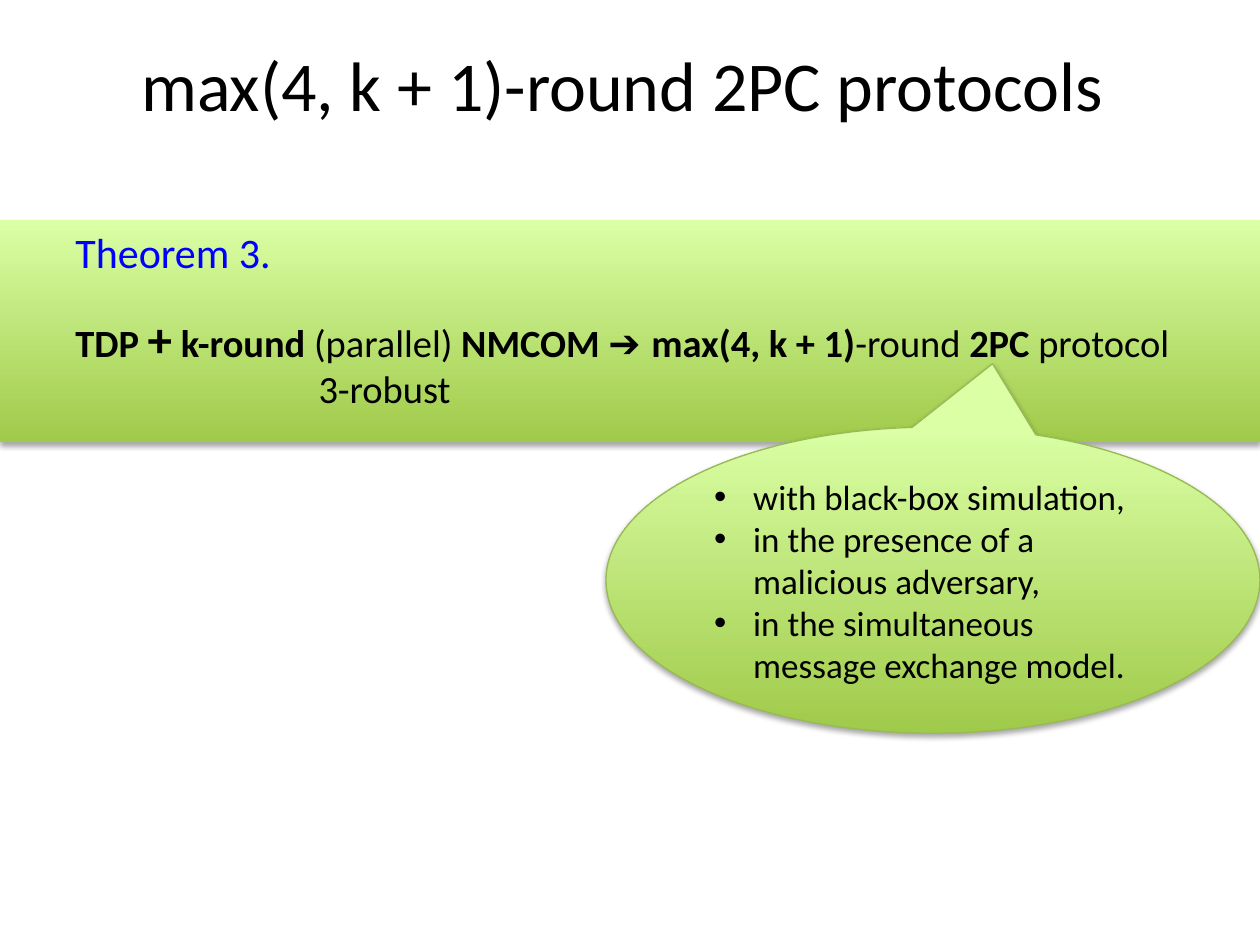
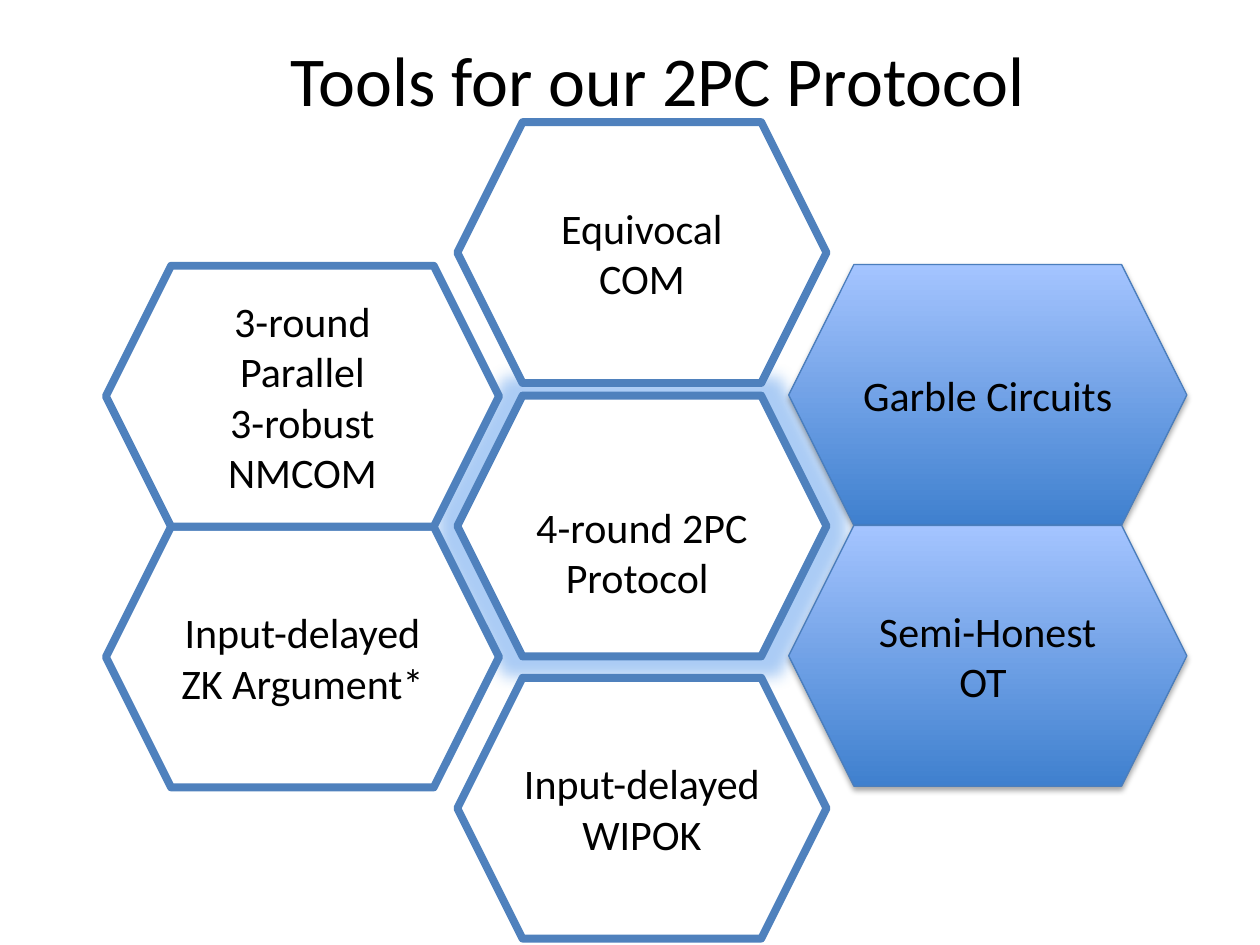
"""Build two slides: a two-party protocol theorem and the tools behind it."""
from dataclasses import dataclass
from lxml.etree import SubElement
from pptx import Presentation
from pptx.dml.color import RGBColor
from pptx.enum.shapes import MSO_SHAPE
from pptx.enum.text import MSO_ANCHOR, PP_ALIGN
from pptx.oxml.ns import qn
from pptx.util import Inches, Pt

BLACK, WHITE, THEOREM_BLUE = "000000", "FFFFFF", "0000FF"
GLOW_BLUE = "2E80E6"
FONT = "Calibri"
HEXAGON_HEIGHT = 2.07


@dataclass(frozen=True)
class Look:
    fill: tuple[str, ...]
    line: str | None = None
    line_width: float = 0.75
    shadow: bool = False


@dataclass(frozen=True)
class Area:
    left: float
    top: float
    width: float
    height: float

    def lengths(self) -> list:
        return [Inches(n) for n in (self.left, self.top, self.width, self.height)]


@dataclass(frozen=True)
class Span:
    text: str
    size: float = 22
    bold: bool = False
    color: str = BLACK
    font: str = FONT


@dataclass(frozen=True)
class Hexagon:
    area: Area
    lines: tuple[str, ...]
    look: Look


GREEN = ("A0CA4A", "DAFFA5")
BAND = Look(GREEN, shadow=True)
CALLOUT = Look(GREEN, "98B955", shadow=True)
OUTLINED = Look((WHITE,), "4F81BD", 4.5)
SHADED = Look(("3F80CE", "A4C4FF"), "4B7EBC", shadow=True)


def rgb(color: str) -> RGBColor:
    return RGBColor.from_string(color)


def add_effect(shape, tag: str, color: str, alpha: int, **attributes: str) -> None:
    effects = shape._element.spPr.find(qn("a:effectLst"))
    effect = SubElement(effects, qn(tag), attributes)
    tint = SubElement(effect, qn("a:srgbClr"), val=color)
    SubElement(tint, qn("a:alpha"), val=str(alpha * 1000))


def add_figure(page, kind, area: Area, look: Look):
    shape = page.shapes.add_shape(kind, *area.lengths())
    shape.shadow.inherit = False
    if len(look.fill) == 1:
        shape.fill.solid()
        shape.fill.fore_color.rgb = rgb(look.fill[0])
    else:
        shape.fill.gradient()
        shape.fill.gradient_angle = 90
        for stop, color in zip(shape.fill.gradient_stops, look.fill):
            stop.color.rgb = rgb(color)
    if look.line:
        shape.line.color.rgb = rgb(look.line)
        shape.line.width = Pt(look.line_width)
    else:
        shape.line.fill.background()
    if look.shadow:
        add_effect(shape, "a:outerShdw", BLACK, 35, blurRad="39400", dist="22900",
                   dir="5400000", rotWithShape="0")
    return shape


def write_spans(para, spans: list[Span]) -> None:
    for span in spans:
        run = para.add_run()
        run.text = span.text
        formats = {"size": Pt(span.size), "bold": span.bold, "name": span.font}
        for name, value in formats.items():
            setattr(run.font, name, value)
        run.font.color.rgb = rgb(span.color)


def write_lines(shape, lines: tuple[str, ...], size: float, align, bullets: bool = False) -> None:
    frame = shape.text_frame
    frame.word_wrap = True
    frame.vertical_anchor = MSO_ANCHOR.MIDDLE
    for index, line in enumerate(lines):
        para = frame.add_paragraph() if index else frame.paragraphs[0]
        para.alignment = align
        if bullets:
            properties = para._p.get_or_add_pPr()
            properties.set("marL", str(Inches(0.31)))
            properties.set("indent", str(-Inches(0.31)))
            SubElement(properties, qn("a:buFont"), typeface="Arial")
            SubElement(properties, qn("a:buChar"), char="•")
        write_spans(para, [Span(line, size)])


def add_text(page, area: Area, spans: list[Span]) -> None:
    box = page.shapes.add_textbox(*area.lengths())
    box.text_frame.word_wrap = False
    write_spans(box.text_frame.paragraphs[0], spans)


def add_page(deck, title: str, area: Area):
    page = deck.slides.add_slide(deck.slide_layouts[5])
    holder = page.shapes.title
    for name, value in zip(("left", "top", "width", "height"), area.lengths()):
        setattr(holder, name, value)
    write_lines(holder, (title,), 40, PP_ALIGN.CENTER)
    return page


def build_theorem(deck) -> None:
    page = add_page(deck, "max(4, k + 1)-round 2PC protocols ", Area(0.5, 0.04, 9, 1.25))
    add_figure(page, MSO_SHAPE.RECTANGLE, Area(0, 1.75, 10, 1.76), BAND)
    add_text(page, Area(0.5, 1.75, 9.5, 0.5), [Span("Theorem 3.", 24, color=THEOREM_BLUE)])
    add_text(page, Area(0.5, 2.4, 9, 0.94), [
        Span("TDP ", bold=True),
        Span("+", 28, bold=True),
        Span(" "),
        Span("k-round ", bold=True),
        Span("(parallel) "),
        Span("NMCOM ", bold=True),
        Span("➔ ", bold=True, font="Arial"),
        Span("max(4, k + 1)", bold=True),
        Span("-round"),
        Span(" 2PC ", bold=True),
        Span("protocol"),
    ])
    callout = add_figure(page, MSO_SHAPE.OVAL_CALLOUT, Area(4.81, 3.39, 5.19, 2.43), CALLOUT)
    callout.adjustments[0], callout.adjustments[1] = 0.091, -0.707
    conditions = (
        "with black-box simulation,",
        "in the presence of a malicious adversary,",
        "in the simultaneous message exchange model.",
    )
    write_lines(callout, conditions, 20, PP_ALIGN.LEFT, bullets=True)
    add_text(page, Area(2.43, 2.85, 1.27, 0.47), [Span("3-robust")])


def add_hexagon(page, hexagon: Hexagon):
    shape = add_figure(page, MSO_SHAPE.HEXAGON, hexagon.area, hexagon.look)
    write_lines(shape, hexagon.lines, 24, PP_ALIGN.CENTER)
    return shape


def build_tools(deck) -> None:
    page = add_page(deck, "Tools for our 2PC Protocol", Area(0.72, 0, 9, 1.25))

    def left(row: int) -> Area:
        return Area(0.84, 2.11 + row * HEXAGON_HEIGHT, 3.12, HEXAGON_HEIGHT)

    def middle(top: float) -> Area:
        return Area(3.63, top, 2.93, HEXAGON_HEIGHT)

    def right(row: int) -> Area:
        return Area(6.26, 2.1 + row * HEXAGON_HEIGHT, 3.16, HEXAGON_HEIGHT)

    protocol = add_hexagon(page, Hexagon(middle(3.14), ("4-round 2PC Protocol ",), OUTLINED))
    protocol.text_frame.margin_top = Inches(0.46)
    add_effect(protocol, "a:glow", GLOW_BLUE, 40, rad="228600")
    for tool in (
        Hexagon(right(0), ("Garble Circuits",), SHADED),
        Hexagon(left(1), ("Input-delayed ZK Argument*",), OUTLINED),
        Hexagon(right(1), ("Semi-Honest", "OT "), SHADED),
        Hexagon(middle(0.97), ("Equivocal COM",), OUTLINED),
        Hexagon(middle(5.38), ("Input-delayed WIPOK",), OUTLINED),
        Hexagon(left(0), ("3-round Parallel", "3-robust NMCOM"), OUTLINED),
    ):
        add_hexagon(page, tool)


def main() -> None:
    deck = Presentation()
    deck.slide_width, deck.slide_height = Inches(10), Inches(7.5)
    build_theorem(deck)
    build_tools(deck)
    deck.save("out.pptx")


if __name__ == "__main__":
    main()
